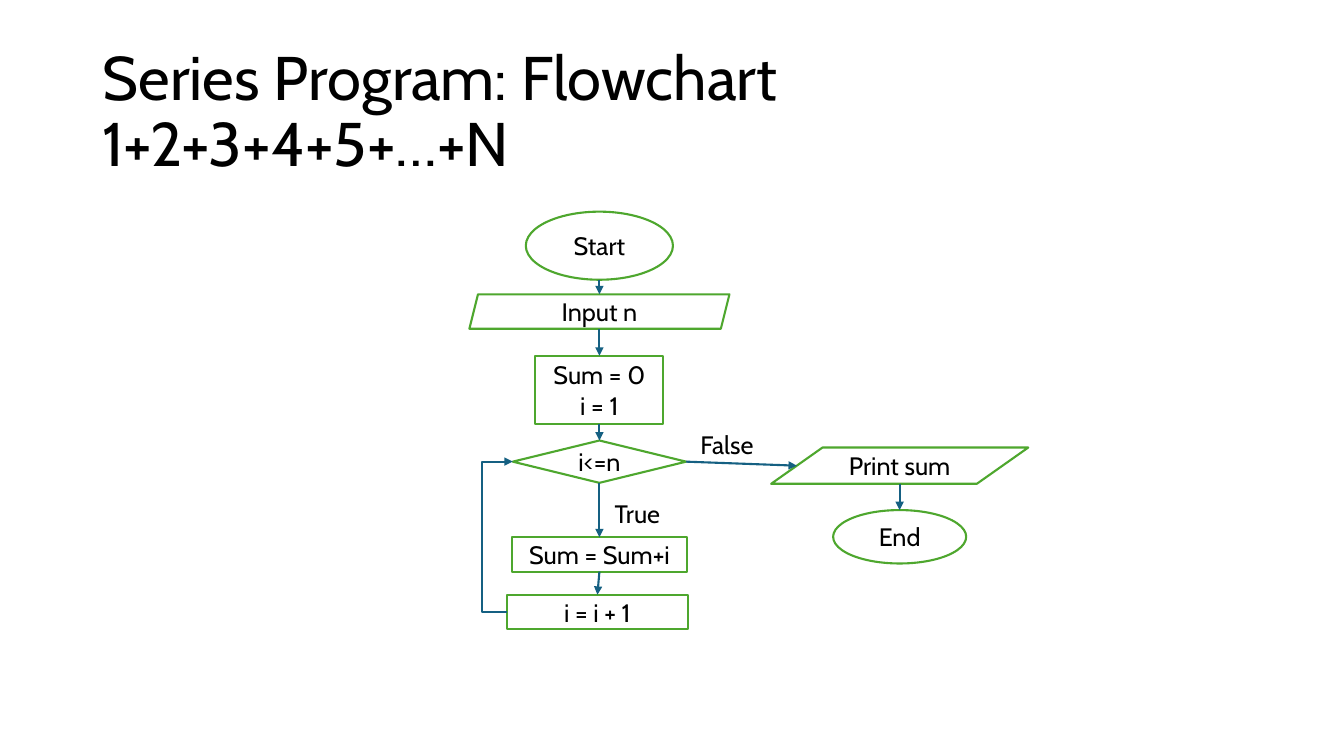
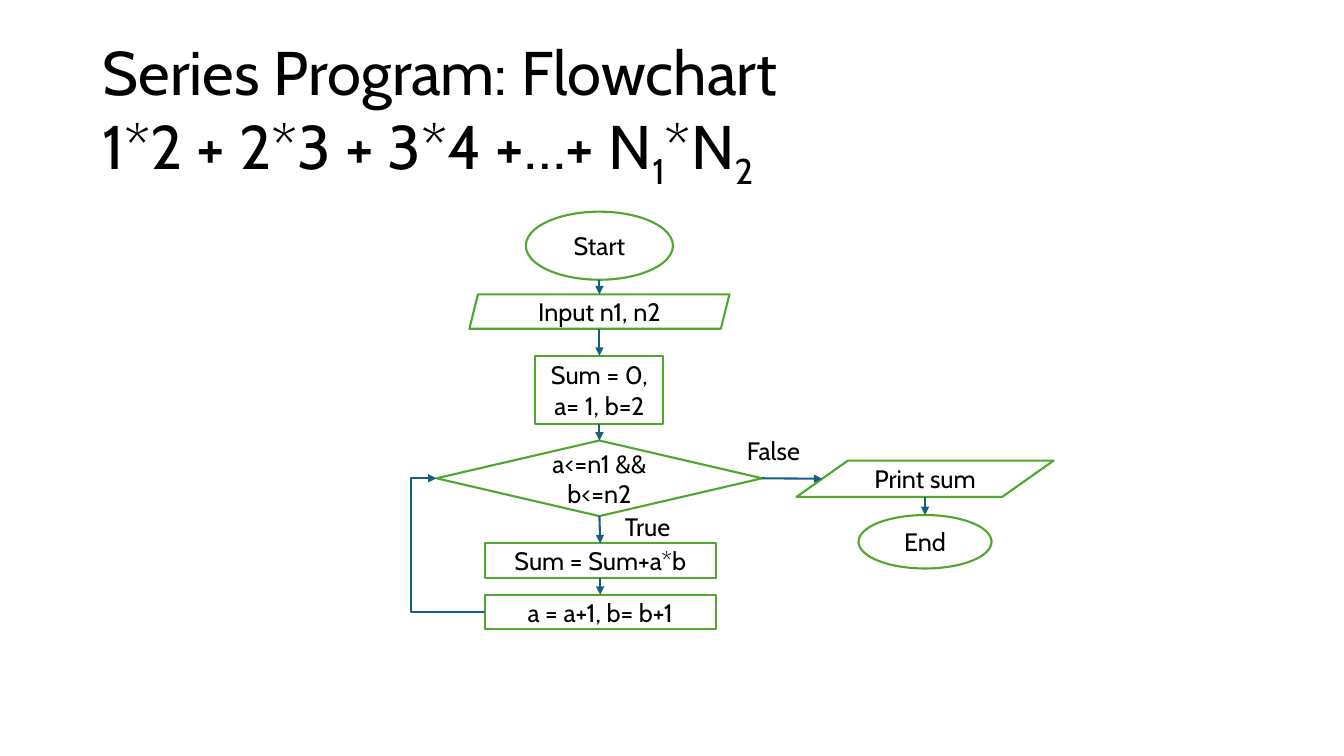
from pptx import Presentation
from pptx import util as u
from pptx.dml.color import RGBColor
from pptx.enum import shapes, text
from pptx.oxml.ns import qn
from lxml import etree
from dataclasses import dataclass


@dataclass(frozen=True)
class Theme:
    font: str = "Cabin"
    ink: RGBColor = RGBColor(0, 0, 0)
    paper: RGBColor = RGBColor(255, 255, 255)
    outline: RGBColor = RGBColor(0x4E, 0xA7, 0x2E)
    arrow: RGBColor = RGBColor(0x15, 0x60, 0x82)
    stroke: u.Pt = u.Pt(1.5)
    title_size: u.Pt = u.Pt(44)
    body_size: u.Pt = u.Pt(18)


theme = Theme()
TOP, LEFT, BOTTOM, RIGHT = range(4)
KINDS = shapes.MSO_SHAPE
JOINABLE = (KINDS.RECTANGLE, KINDS.DIAMOND)

presentation = Presentation()
presentation.slide_width = u.Inches(13.333)
presentation.slide_height = u.Inches(7.5)

# Grid of 100 columns by 100 rows
COLUMN = presentation.slide_width / 100
ROW = presentation.slide_height / 100
AXIS = 44.6


def format_text(frame, size, alignment):
    for paragraph in frame.paragraphs:
        paragraph.alignment = alignment
        for run in paragraph.runs:
            run.font.color.rgb = theme.ink
            for name, value in {"name": theme.font, "size": size}.items():
                setattr(run.font, name, value)


def connect(slide, begin, begin_side, end, end_side, lane=None):
    """Draw an arrow between two sides, by way of a vertical lane if given."""
    points = []
    for shape, side in ((begin, begin_side), (end, end_side)):
        slant = 0.1 if shape.auto_shape_type == KINDS.FLOWCHART_DATA else 0
        across = {LEFT: slant, RIGHT: 1 - slant}.get(side, 0.5)
        down = {TOP: 0, BOTTOM: 1}.get(side, 0.5)
        points += [int(shape.left + across * shape.width),
                   int(shape.top + down * shape.height)]
    kind = shapes.MSO_CONNECTOR.STRAIGHT if lane is None else shapes.MSO_CONNECTOR.ELBOW
    connector = slide.shapes.add_connector(kind, *points)
    if begin.auto_shape_type in JOINABLE:
        connector.begin_connect(begin, begin_side)
    if end.auto_shape_type in JOINABLE:
        connector.end_connect(end, end_side)
    connector.line.color.rgb = theme.arrow
    connector.line.width = theme.stroke
    properties = connector.line._get_or_add_ln()
    etree.SubElement(properties, qn("a:tailEnd"), type="triangle")
    etree.SubElement(properties.getparent(), qn("a:effectLst"))
    if lane is not None:
        bend = (lane * COLUMN - points[0]) / (points[2] - points[0])
        guides = connector._element.spPr.find(qn("a:prstGeom")).find(qn("a:avLst"))
        etree.SubElement(guides, qn("a:gd"), name="adj1", fmla=f"val {round(bend * 100000)}")


# Title position shared through the layout
layout = presentation.slide_layouts.get_by_name("Title Only")
title_box = {"left": 6.88, "top": 5.33, "width": 86.25, "height": 19.33}
for name, share in title_box.items():
    unit = COLUMN if name in ("left", "width") else ROW
    setattr(layout.placeholders[0], name, int(share * unit))

# Steps: kind, centre column, top row, columns wide, rows high, text
# Labels: left column, top row, columns wide, text
flowcharts = [
    {
        "title": [("Series Program: Flowchart \v1+2+3+4+5+…+N", False)],
        "lane": 35.85,
        "steps": {
            "input": (KINDS.PARALLELOGRAM, AXIS, 38.93, 19.35, 4.55, "Input n"),
            "setup": (KINDS.RECTANGLE, AXIS, 47.07, 9.53, 9, "Sum = 0\ni = 1"),
            "test": (KINDS.DIAMOND, AXIS, 58.27, 12.9, 5.6, "i<=n"),
            "add": (KINDS.RECTANGLE, AXIS, 71.07, 13, 4.55, "Sum = Sum+i"),
            "advance": (KINDS.RECTANGLE, AXIS - 0.15, 78.67, 13.43, 4.55, "i = i + 1"),
            "print": (KINDS.FLOWCHART_DATA, 66.94, 59.2, 19.13, 4.8, "Print sum"),
            "end": (KINDS.OVAL, 66.94, 67.47, 9.9, 7.07, "End"),
        },
        "labels": [(45, 65.2, 5, "True"), (51.38, 56.13, 5.9, "False")],
    },
    {
        "title": [("Series Program: Flowchart\v1*2 + 2*3 + 3*4 +…+ N", False),
                  ("1", True), ("*N", False), ("2", True)],
        "lane": 30.6,
        "steps": {
            "input": (KINDS.PARALLELOGRAM, AXIS, 38.93, 19.35, 4.55, "Input n1, n2"),
            "setup": (KINDS.RECTANGLE, AXIS, 47.07, 9.53, 9, "Sum = 0,\na= 1, b=2"),
            "test": (KINDS.DIAMOND, AXIS, 58.27, 24.23, 10, "a<=n1 && b<=n2"),
            "add": (KINDS.RECTANGLE, AXIS + 0.06, 71.87, 17.2, 4.55, "Sum = Sum+a*b"),
            "advance": (KINDS.RECTANGLE, AXIS + 0.06, 78.67, 17.2, 4.55, "a = a+1, b= b+1"),
            "print": (KINDS.FLOWCHART_DATA, 68.83, 60.93, 19.13, 4.8, "Print sum"),
            "end": (KINDS.OVAL, 68.83, 68.13, 9.9, 7.07, "End"),
        },
        "labels": [(45.75, 66.93, 5, "True"), (54.83, 56.93, 5.9, "False")],
    },
]
start_step = {"start": (KINDS.OVAL, AXIS, 28, 10.95, 9, "Start")}
main_flow = ["start", "input", "setup", "test", "add", "advance"]
downward = list(zip(main_flow, main_flow[1:])) + [("print", "end")]

for flowchart in flowcharts:
    slide = presentation.slides.add_slide(layout)

    # Title
    frame = slide.shapes.title.text_frame
    frame.auto_size = text.MSO_AUTO_SIZE.NONE
    frame.vertical_anchor = text.MSO_ANCHOR.MIDDLE
    paragraph = frame.paragraphs[0]
    paragraph.line_spacing = 0.9
    for part, lowered in flowchart["title"]:
        for number, line in enumerate(part.split("\v")):
            if number:
                paragraph.add_line_break()
            run = paragraph.add_run()
            run.text = line
            if lowered:
                run.font._element.set("baseline", "-25000")
    format_text(frame, theme.title_size, text.PP_ALIGN.LEFT)

    # Steps
    steps = {}
    for name, values in (start_step | flowchart["steps"]).items():
        kind, centre, top, wide, high, words = values
        shape = slide.shapes.add_shape(
            kind, int((centre - wide / 2) * COLUMN), int(top * ROW),
            int(wide * COLUMN), int(high * ROW))
        shape.shadow.inherit = False
        shape.fill.solid()
        shape.fill.fore_color.rgb = theme.paper
        shape.line.color.rgb = theme.outline
        shape.line.width = theme.stroke
        shape.text_frame.text = words
        shape.text_frame.vertical_anchor = text.MSO_ANCHOR.MIDDLE
        format_text(shape.text_frame, theme.body_size, text.PP_ALIGN.CENTER)
        steps[name] = shape

    # Arrows
    for begin, end in downward:
        connect(slide, steps[begin], BOTTOM, steps[end], TOP)
    connect(slide, steps["test"], RIGHT, steps["print"], LEFT)
    connect(slide, steps["advance"], LEFT, steps["test"], LEFT, flowchart["lane"])

    # Branch labels
    for left, top, wide, words in flowchart["labels"]:
        label = slide.shapes.add_textbox(
            int(left * COLUMN), int(top * ROW), int(wide * COLUMN), int(5.33 * ROW))
        label.text_frame.word_wrap = False
        label.text_frame.auto_size = text.MSO_AUTO_SIZE.SHAPE_TO_FIT_TEXT
        label.text_frame.text = words
        format_text(label.text_frame, theme.body_size, text.PP_ALIGN.LEFT)

presentation.save("out.pptx")
